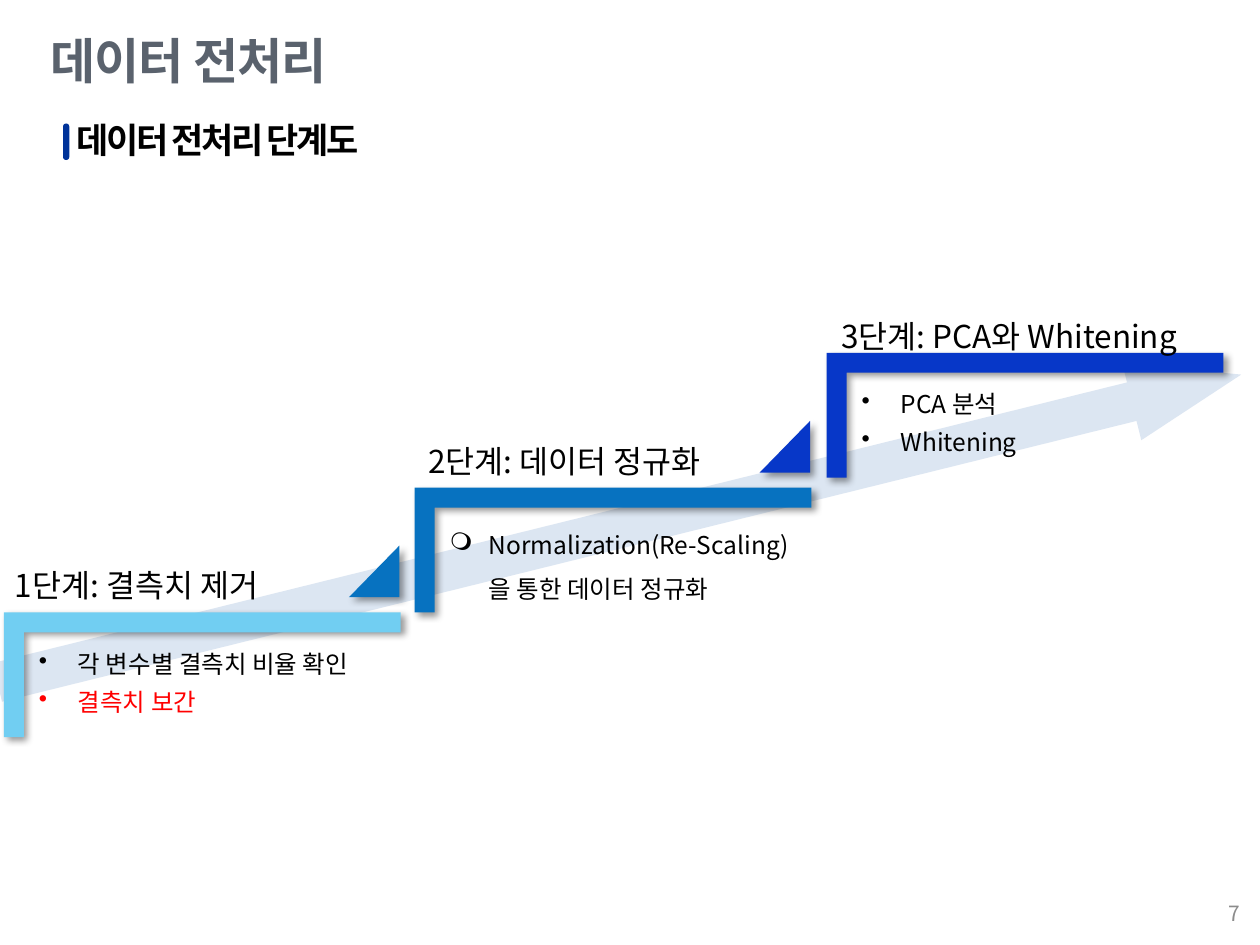
from dataclasses import dataclass
from typing import Optional

import lxml.etree
import pptx
import pptx.dml.color
import pptx.enum.shapes
import pptx.enum.text
import pptx.oxml.ns
import pptx.util

Inches = pptx.util.Inches
Shape = pptx.enum.shapes.MSO_SHAPE
Align = pptx.enum.text.PP_ALIGN
Anchor = pptx.enum.text.MSO_ANCHOR
qn = pptx.oxml.ns.qn


@dataclass(frozen=True)
class Theme:
    font: str = "Noto Sans CJK KR"
    title: str = "5A626D"
    text: str = "000000"
    alert: str = "FF0000"
    muted: str = "8C8C8C"
    marker: str = "003399"
    arrow: str = "DCE6F2"
    title_size: int = 28
    subtitle_size: int = 20
    step_size: int = 18
    body_size: int = 14
    page_size: int = 12


@dataclass(frozen=True)
class Item:
    text: str
    color: str


@dataclass(frozen=True)
class Step:
    title: str
    title_box: tuple[float, float, float, float]
    left: float
    top: float
    color: str
    items: tuple[Item, ...]
    body_width: float
    body_height: float
    bullet: str = "•"
    spacing: float = 1.3


THEME = Theme()
BRACKET_W, BRACKET_H = 3.15, 0.99
STEPS = (
    Step("1단계: 결측치 제거", (0.02, 4.44, 2.39, 0.4), 0.03, 4.86, "71CEF2",
         (Item("각 변수별 결측치 비율 확인", THEME.text), Item("결측치 보간", THEME.alert)),
         2.97, 0.67),
    Step("2단계: 데이터 정규화", (3.3, 3.46, 2.64, 0.4), 3.29, 3.87, "0772C0",
         (Item("Normalization(Re-Scaling)을 통한 데이터 정규화", THEME.text),),
         2.91, 1.11, "❍", 1.5),
    Step("3단계: PCA와 Whitening", (6.58, 2.47, 3.34, 0.4), 6.56, 2.8, "0737C8",
         (Item("PCA 분석", THEME.text), Item("Whitening", THEME.text)),
         2.91, 0.67),
)


def style(p, size: int, color: str, bold: bool = False, tracking: float = 0) -> None:
    for r in p.runs:
        r.font.name = THEME.font
        r.font.size = pptx.util.Pt(size)
        r.font.bold = bold
        r.font.color.rgb = pptx.dml.color.RGBColor.from_string(color)
        rPr = r._r.get_or_add_rPr()
        lxml.etree.SubElement(rPr, qn("a:ea"), typeface=THEME.font)
        if tracking:
            rPr.set("spc", str(round(tracking * 100)))


def place(sp, left: float, top: float, width: float, height: float) -> None:
    sp.left, sp.top = Inches(left), Inches(top)
    sp.width, sp.height = Inches(width), Inches(height)


def add_text(s, box: tuple[float, float, float, float], text: str, size: int,
             color: str, wrap: bool = True, **font):
    sp = s.shapes.add_textbox(*map(Inches, box))
    tf = sp.text_frame
    tf.word_wrap = wrap
    tf.text = text
    style(tf.paragraphs[0], size, color, **font)
    return sp


def add_shadow(sp) -> None:
    effects = sp._element.spPr.find(qn("a:effectLst"))
    shadow = lxml.etree.SubElement(
        effects, qn("a:outerShdw"), blurRad=str(pptx.util.Pt(4)),
        dist=str(pptx.util.Pt(3)), dir=str(45 * 60000), algn="tl", rotWithShape="0")
    black = lxml.etree.SubElement(shadow, qn("a:srgbClr"), val="000000")
    lxml.etree.SubElement(black, qn("a:alpha"), val="40000")


def add_solid(s, kind, box: tuple[float, float, float, float], color: str,
              adjustments: tuple[float, ...], rotation: float = 0,
              shadow: bool = False) -> None:
    sp = s.shapes.add_shape(kind, *map(Inches, box))
    sp.shadow.inherit = False
    sp.fill.solid()
    sp.fill.fore_color.rgb = pptx.dml.color.RGBColor.from_string(color)
    sp.line.fill.background()
    sp.rotation = rotation
    for i, value in enumerate(adjustments):
        sp.adjustments[i] = value
    if shadow:
        add_shadow(sp)


def add_bullet(p, char: str) -> None:
    pPr = p._p.get_or_add_pPr()
    pPr.set("marL", str(Inches(0.31)))
    pPr.set("indent", str(-Inches(0.31)))
    lxml.etree.SubElement(pPr, qn("a:buChar"), char=char)


def add_bracket(s, step: Step, previous: Optional[Step]) -> None:
    if previous:
        add_solid(s, Shape.ISOSCELES_TRIANGLE,
                  (previous.left + 2.74, previous.top - 0.53, 0.4, 0.41),
                  step.color, (1,), shadow=True)
    shift = (BRACKET_W - BRACKET_H) / 2
    add_solid(s, Shape.CORNER,
              (step.left + shift, step.top - shift, BRACKET_H, BRACKET_W),
              step.color, (0.16, 0.16), rotation=90, shadow=True)


def add_body(s, step: Step) -> None:
    box = (step.left + 0.18, step.top + 0.17, step.body_width, step.body_height)
    sp = s.shapes.add_textbox(*map(Inches, box))
    tf = sp.text_frame
    tf.word_wrap = True
    tf.text = "\n".join(item.text for item in step.items)
    for p, item in zip(tf.paragraphs, step.items):
        p.line_spacing = step.spacing
        add_bullet(p, step.bullet)
        style(p, THEME.body_size, item.color)


def add_heading(s) -> None:
    title = s.shapes.title
    place(title, 0.3, 0.19, 2.49, 0.57)
    tf = title.text_frame
    tf.text = "데이터 전처리"
    tf.word_wrap = False
    tf.auto_size = pptx.enum.text.MSO_AUTO_SIZE.SHAPE_TO_FIT_TEXT
    tf.vertical_anchor = Anchor.TOP
    tf.paragraphs[0].alignment = Align.LEFT
    style(tf.paragraphs[0], THEME.title_size, THEME.title, bold=True, tracking=-0.5)

    add_solid(s, Shape.ROUNDED_RECTANGLE, (0.5, 0.98, 0.05, 0.29), THEME.marker, (0.5,))
    tf = add_text(s, (0.61, 0.94, 9.13, 0.34), "데이터 전처리 단계도",
                  THEME.subtitle_size, THEME.text, bold=True, tracking=-1.4).text_frame
    tf.margin_left = tf.margin_right = tf.margin_top = tf.margin_bottom = 0


def add_page_number(s) -> None:
    tf = add_text(s, (7.61, 7.05, 2.33, 0.4), "7", THEME.page_size, THEME.muted).text_frame
    tf.vertical_anchor = Anchor.MIDDLE
    tf.paragraphs[0].alignment = Align.RIGHT


def main() -> None:
    prs = pptx.Presentation()
    prs.slide_width, prs.slide_height = Inches(10), Inches(7.5)
    s = prs.slides.add_slide(prs.slide_layouts[5])
    add_heading(s)
    add_page_number(s)
    add_solid(s, Shape.RIGHT_ARROW, (-0.17, 3.88, 10.17, 0.63), THEME.arrow,
              (0.5, 1.42), rotation=346.1)
    for previous, step in zip((None, *STEPS), STEPS):
        add_bracket(s, step, previous)
    for step in STEPS:
        add_text(s, step.title_box, step.title, THEME.step_size, THEME.text, wrap=False)
        add_body(s, step)
    prs.save("out.pptx")


if __name__ == "__main__":
    main()
